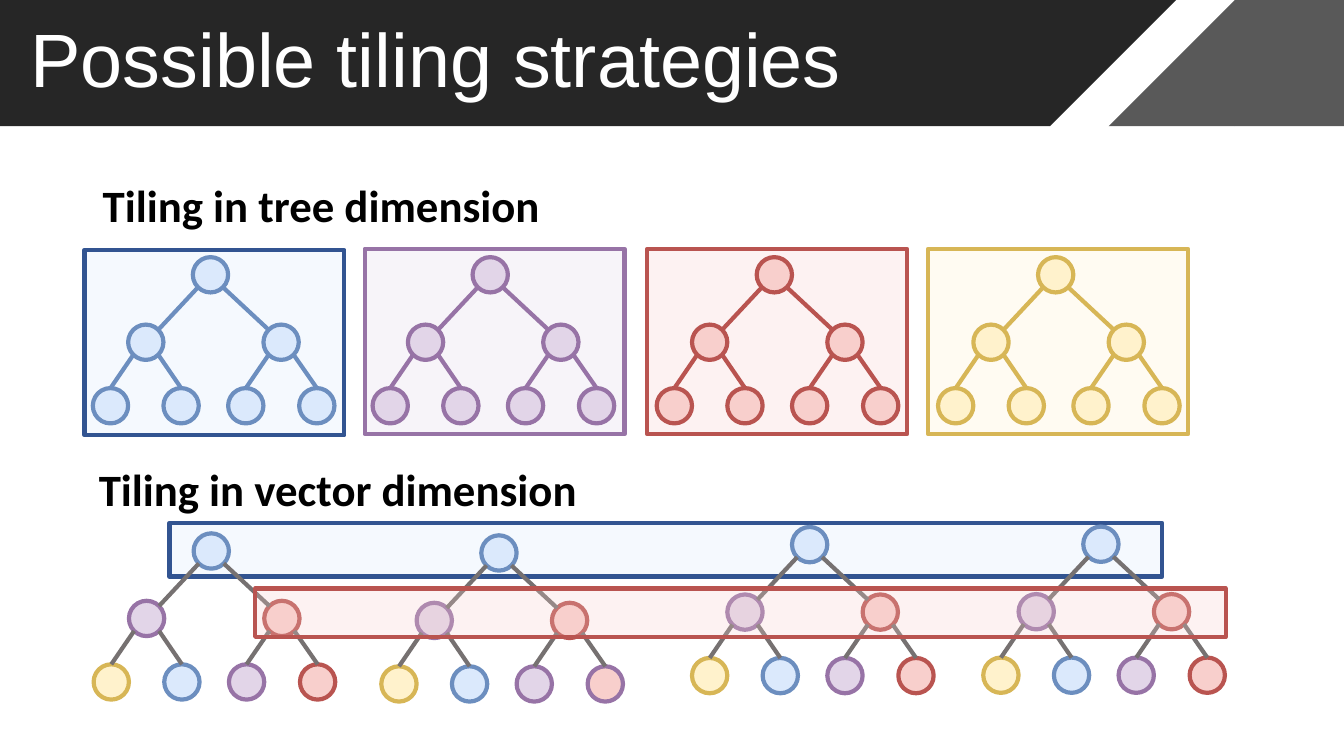
"""Build a slide on possible tiling strategies for binary trees."""
from math import sqrt
from typing import NamedTuple

from lxml import etree
from pptx import Presentation
from pptx.dml.color import RGBColor
from pptx.enum.shapes import MSO_CONNECTOR, MSO_SHAPE
from pptx.enum.text import MSO_ANCHOR, MSO_AUTO_SIZE, PP_ALIGN
from pptx.oxml.ns import qn
from pptx.util import Cm, Pt

RECTANGLE, TRIANGLE, OVAL = MSO_SHAPE.RECTANGLE, MSO_SHAPE.ISOSCELES_TRIANGLE, MSO_SHAPE.OVAL
STRAIGHT = MSO_CONNECTOR.STRAIGHT
MIDDLE, BOTTOM = MSO_ANCHOR.MIDDLE, MSO_ANCHOR.BOTTOM
NO_AUTOSIZE = MSO_AUTO_SIZE.NONE
LEFT = PP_ALIGN.LEFT

COLORS = {
    "white": "FFFFFF", "black": "000000", "banner": "262626", "corner": "595959",
    "edge": "767171", "navy": "325491",
    "blue": "6C8EBF", "blue fill": "DBE9FC",
    "purple": "9773A6", "purple fill": "E2D5E8",
    "red": "B95450", "red fill": "F8CFCC",
    "yellow": "D7B656", "yellow fill": "FFF2CC",
}
LINE_WIDTH = Pt(3)
BANNER_HEIGHT = 3.18
NODE_SIZE = 0.89
DIAGONAL = NODE_SIZE / 2 / sqrt(2)
TILE_SIZE = (6.55, 4.67)


class Box(NamedTuple):
    """Position and size in centimetres."""
    left: float
    top: float
    width: float
    height: float


class BannerPart(NamedTuple):
    """A filled piece of the title banner."""
    kind: int
    box: Box
    color: str
    rotation: int = 0


class Look(NamedTuple):
    """Colour names of a node's fill and outline."""
    fill: str
    outline: str


class Tile(NamedTuple):
    """A translucent outlined rectangle."""
    box: Box
    look: Look


class Tree(NamedTuple):
    """A seven-node tree, with looks ordered root, middle row, leaves."""
    left: float
    top: float
    looks: list
    edge: str


BANNER = [
    BannerPart(RECTANGLE, Box(0, 0, 26.46, BANNER_HEIGHT), "banner"),
    BannerPart(RECTANGLE, Box(31.12, 0, 2.75, BANNER_HEIGHT), "corner"),
    BannerPart(TRIANGLE, Box(26.46, 0, 3.18, BANNER_HEIGHT), "banner", 180),
    BannerPart(TRIANGLE, Box(27.94, 0, 3.18, BANNER_HEIGHT), "corner"),
]
BLUE, PURPLE, RED, YELLOW = (
    Look(f"{name} fill", name) for name in ("blue", "purple", "red", "yellow"))
NAVY = Look("blue fill", "navy")

ROOT_TILE = Tile(Box(4.27, 13.18, 25.02, 1.35), NAVY)
MIDDLE_TILE = Tile(Box(6.43, 14.83, 24.46, 1.22), RED)
TREE_TILES = [
    Tile(Box(left, top, *TILE_SIZE), look)
    for left, top, look in [(9.19, 6.27, PURPLE), (16.31, 6.27, RED),
                            (23.39, 6.27, YELLOW), (2.13, 6.3, NAVY)]
]

NODE_OFFSETS = [(2.52, 0), (0.89, 1.7), (4.3, 1.7),
                (0, 3.3), (1.78, 3.3), (3.41, 3.3), (5.2, 3.3)]
VECTOR_LOOKS = [BLUE, PURPLE, RED, YELLOW, BLUE, PURPLE, RED]
MIXED_LOOKS = VECTOR_LOOKS[:-1] + [Look("red fill", "purple")]
TILED_TREES = [
    Tree(left, 6.48, [look] * len(NODE_OFFSETS), look.outline)
    for left, look in [(2.34, BLUE), (9.39, PURPLE), (16.55, RED), (23.64, YELLOW)]
]
VECTOR_TREES = [
    Tree(left, top, looks, "edge")
    for left, top, looks in [(2.36, 13.44, VECTOR_LOOKS), (9.61, 13.49, MIXED_LOOKS),
                             (17.44, 13.28, VECTOR_LOOKS), (24.78, 13.27, VECTOR_LOOKS)]
]


def rgb(name: str) -> RGBColor:
    """Return the named colour."""
    return RGBColor.from_string(COLORS[name])


def place(shape, box: Box) -> None:
    """Move and size a shape."""
    shape.left, shape.top, shape.width, shape.height = (Cm(length) for length in box)


def add_filled(shapes, kind: int, box: Box, fill: str, outline: str = ""):
    """Add a filled preset shape, outlined when an outline colour is given."""
    shape = shapes.add_shape(kind, *(Cm(length) for length in box))
    shape.shadow.inherit = False
    shape.fill.solid()
    shape.fill.fore_color.rgb = rgb(fill)
    if outline:
        shape.line.color.rgb = rgb(outline)
        shape.line.width = LINE_WIDTH
    else:
        shape.line.fill.background()
    return shape


def add_banner(slide) -> None:
    """Draw the title banner behind the title."""
    for part in BANNER:
        shape = add_filled(slide.shapes, part.kind, part.box, part.color)
        shape.rotation = part.rotation
        if part.kind == TRIANGLE:
            shape.adjustments[0] = 1
    shape.element.addnext(slide.shapes.title.element)


def add_tile(slide, tile: Tile) -> None:
    """Draw a tile whose fill is a quarter opaque."""
    shape = add_filled(slide.shapes, RECTANGLE, tile.box, *tile.look)
    color = shape.element.spPr.find(qn("a:solidFill"))[0]
    etree.SubElement(color, qn("a:alpha")).set("val", "25000")


def add_edge(shapes, start: tuple, end: tuple, color: str):
    """Draw a tree edge between two points."""
    edge = shapes.add_connector(STRAIGHT, *(Cm(length) for length in (*start, *end)))
    edge.line.color.rgb = rgb(color)
    edge.line.width = LINE_WIDTH
    etree.SubElement(edge.element.spPr, qn("a:effectLst"))
    return edge


def add_tree(slide, tree: Tree) -> None:
    """Draw a tree as one group of nodes and edges."""
    shapes = slide.shapes.add_group_shape().shapes
    corners = [(tree.left + across, tree.top + down) for across, down in NODE_OFFSETS]
    nodes = [add_filled(shapes, OVAL, Box(*corner, NODE_SIZE, NODE_SIZE), *look)
             for corner, look in zip(corners, tree.looks)]
    centers = [(left + NODE_SIZE / 2, top + NODE_SIZE / 2) for left, top in corners]
    for child in range(1, len(nodes)):
        parent = (child - 1) // 2
        shift = -DIAGONAL if child % 2 else DIAGONAL
        (parent_x, parent_y), (child_x, child_y) = centers[parent], centers[child]
        edge = add_edge(shapes, (parent_x + shift, parent_y + DIAGONAL),
                        (child_x - shift, child_y - DIAGONAL), tree.edge)
        if parent:
            edge.end_connect(nodes[child], 0)


def write_text(shape, text: str, *, size: float, font: str, color: str,
               bold: bool = False, anchor=MIDDLE, space_before: float = 0) -> None:
    """Write one formatted left-aligned paragraph into a shape."""
    frame = shape.text_frame
    frame.text = text
    frame.word_wrap = True
    frame.auto_size = NO_AUTOSIZE
    frame.vertical_anchor = anchor
    paragraph = frame.paragraphs[0]
    paragraph.alignment = LEFT
    paragraph.line_spacing = 0.9
    paragraph.space_before = Pt(space_before)
    style = paragraph.runs[0].font
    style.size, style.name, style.bold = Pt(size), font, bold
    style.color.rgb = rgb(color)


def add_heading(slide, text: str, left: float, top: float) -> None:
    """Add a section heading."""
    heading = slide.shapes.add_textbox(Cm(left), Cm(top), Cm(14.33), Cm(2.29))
    write_text(heading, text, size=32, font="Calibri", color="black", bold=True,
               anchor=BOTTOM, space_before=10)


def main() -> None:
    """Build and save the presentation."""
    presentation = Presentation()
    presentation.slide_width, presentation.slide_height = Cm(33.87), Cm(19.05)
    slide = presentation.slides.add_slide(presentation.slide_layouts[5])
    add_banner(slide)
    place(slide.shapes.title, Box(0.51, 0, 27.43, BANNER_HEIGHT))
    write_text(slide.shapes.title, "Possible tiling strategies",
               size=54, font="Arial", color="white")
    for tile in [ROOT_TILE, *TREE_TILES]:
        add_tile(slide, tile)
    add_heading(slide, "Tiling in tree dimension", 2.34, 3.68)
    add_heading(slide, "Tiling in vector dimension", 2.24, 10.85)
    for tree in TILED_TREES + VECTOR_TREES:
        add_tree(slide, tree)
    add_tile(slide, MIDDLE_TILE)
    presentation.save("out.pptx")


if __name__ == "__main__":
    main()
